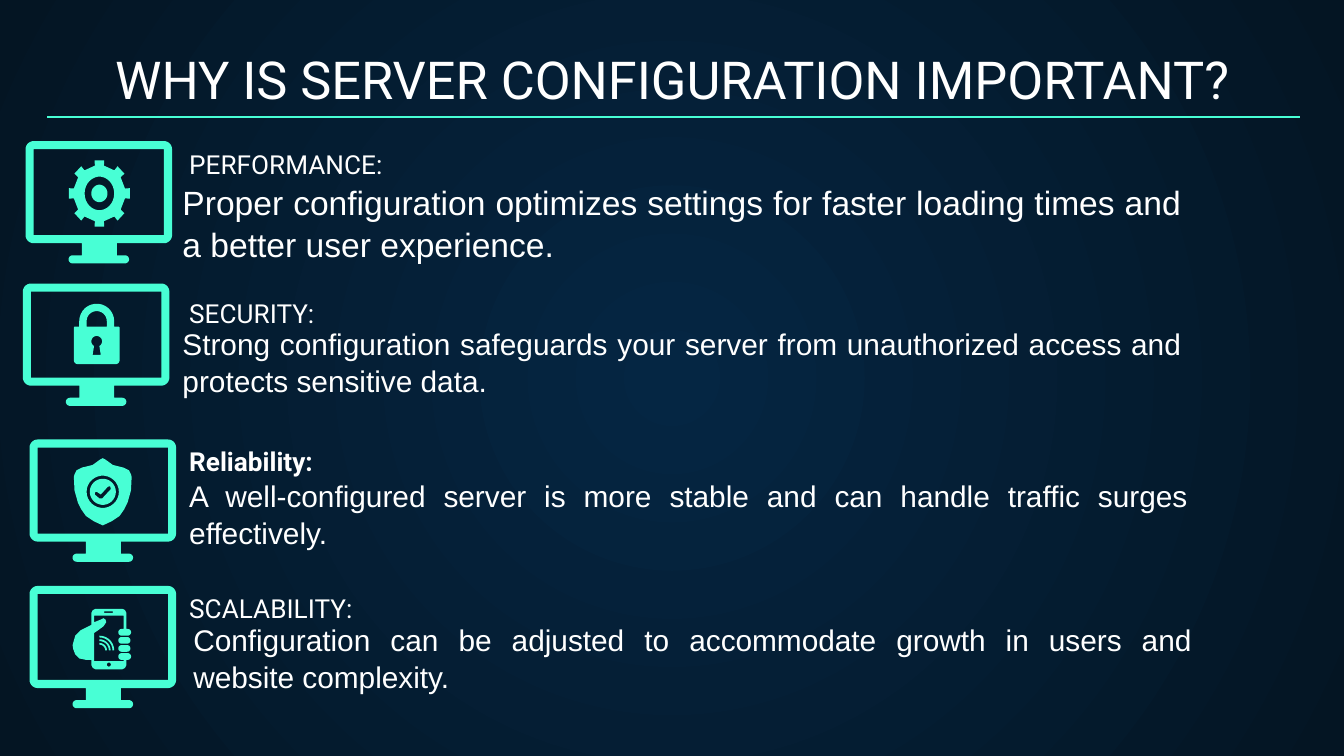
from math import cos, radians, sin

from pptx import Presentation
from pptx.dml.color import RGBColor
from pptx.enum.shapes import MSO_CONNECTOR as Line
from pptx.enum.text import MSO_ANCHOR as Anchor, MSO_AUTO_SIZE as Auto, PP_ALIGN as Align
from pptx.oxml import parse_xml
from pptx.oxml.ns import nsdecls
from pptx.util import Emu, Pt

SCALE = 9144
MINT = "48FFD5"
WHITE = "FFFFFF"


def px(n):
    """Turn px into EMU."""
    return Emu(round(n * SCALE))


def color(code):
    """Turn a hex string into a colour."""
    return RGBColor.from_string(code)


def paint_back(slide, inner, outer):
    """Fill the background with a circular gradient."""
    stops = "".join(
        f'<a:gs pos="{pos}"><a:srgbClr val="{code}"/></a:gs>'
        for pos, code in ((0, inner), (100000, outer))
    )
    back = parse_xml(
        f'<p:bg {nsdecls("p", "a")}><p:bgPr><a:gradFill><a:gsLst>{stops}</a:gsLst>'
        '<a:path path="circle"><a:fillToRect l="50000" t="50000" r="50000" b="50000"/></a:path>'
        "</a:gradFill><a:effectLst/></p:bgPr></p:bg>"
    )
    slide.element.cSld.insert(0, back)


def write(shape, text, size=16, font="Arial", bold=False, align=Align.LEFT,
          anchor=Anchor.TOP, spacing=1.0):
    """Put formatted text into a shape."""
    frame = shape.text_frame
    frame.word_wrap = True
    frame.auto_size = Auto.NONE
    frame.vertical_anchor = anchor
    frame.margin_left = frame.margin_right = px(10)
    frame.margin_top = frame.margin_bottom = px(10)
    para = frame.paragraphs[0]
    para.text = text
    para.alignment = align
    para.line_spacing = spacing
    face = para.runs[0].font
    face.name, face.size, face.bold = font, Pt(size), bold
    face.color.rgb = color(WHITE)


def add_title(slide, text):
    """Place and format the title."""
    title = slide.shapes.title
    title.left, title.top, title.width, title.height = map(px, (34, 26, 932, 66))
    write(title, text, size=28, font="Roboto", align=Align.CENTER, anchor=Anchor.BOTTOM)


def add_text(slide, left, top, width, height, text, **style):
    """Add a text box."""
    box = slide.shapes.add_textbox(*map(px, (left, top, width, height)))
    write(box, text, **style)


def add_rule(slide, left, right, y):
    """Add the thin line below the title."""
    rule = slide.shapes.add_connector(Line.STRAIGHT, px(left), px(y), px(right), px(y))
    rule.line.color.rgb = color(MINT)
    rule.line.width = Pt(0.75)
    rule._element.spPr.append(parse_xml(f'<a:effectLst {nsdecls("a")}/>'))


def add_form(shapes, left, top, loops):
    """Draw closed loops as one freeform, inner loops being holes."""
    loops = [[(px(left + x), px(top + y)) for x, y in loop] for loop in loops]
    pen = shapes.build_freeform(*loops[0][0])
    for i, loop in enumerate(loops):
        if i:
            pen.move_to(*loop[0])
        pen.add_line_segments(loop[1:], close=True)
    form = pen.convert_to_shape()
    form.shadow.inherit = False
    form.fill.solid()
    form.fill.fore_color.rgb = color(MINT)
    form.line.fill.background()


def arc(x, y, r, start=0, stop=360, ry=None):
    """List points along an arc, clockwise in degrees."""
    ry = ry or r
    count = max(4, abs(stop - start) // 12)
    turns = [radians(start + (stop - start) * i / count) for i in range(count + 1)]
    return [(x + r * cos(t), y + ry * sin(t)) for t in turns]


def rect(left, top, right, bottom):
    """List the corners of a rectangle."""
    return [(left, top), (right, top), (right, bottom), (left, bottom)]


def pill(left, top, right, bottom):
    """List the outline of a bar with round ends."""
    r = (bottom - top) / 2
    y = top + r
    return arc(right - r, y, r, -90, 90) + arc(left + r, y, r, 90, 270)


def screen():
    """Outline a monitor on its stand."""
    edge = (arc(6, 6, 6, 180, 270) + arc(103, 6, 6, 270, 360) + arc(103, 70, 6, 0, 90)
            + [(68, 76), (68, 85)] + pill(32, 85, 77, 91)
            + [(42, 85), (42, 76)] + arc(6, 70, 6, 90, 180))
    return [edge, rect(6, 6, 103, 70)]


def gear():
    """Outline a cog with eight teeth."""
    teeth = []
    for mid in range(0, 360, 45):
        for turn, r in ((-10, 0.84), (-9, 1), (9, 1), (10, 0.84)):
            t = radians(mid + turn)
            teeth.append((23 + 23 * r * cos(t), 25 + 25 * r * sin(t)))
    return [teeth, arc(23, 25, 11, ry=12.5), arc(23, 25, 6, ry=6.5)]


def lock():
    """Outline a padlock with a keyhole."""
    body = ([(4, 17)] + arc(17, 13, 13, 180, 360) + [(30, 17)] + arc(33, 18, 1, 270, 360)
            + arc(31, 42, 3, 0, 90) + arc(3, 42, 3, 90, 180) + arc(1, 18, 1, 180, 270))
    bow = [(9.5, 17)] + arc(17, 13, 7.5, 180, 360) + [(24.5, 17)]
    key = arc(17, 28, 4, 120, 420) + [(20, 38), (14, 38)]
    return [body, bow, key]


def shield():
    """Outline a shield with a round hole."""
    half = [(21.5, 0), (19.5, 1), (14, 5), (6, 7), (2, 9), (0.5, 12), (0, 14), (0.5, 24),
            (3, 33), (5.5, 38), (9, 43), (15, 47), (21.5, 50)]
    return [half + [(43 - x, y) for x, y in half[-2:0:-1]], arc(21.5, 25, 12)]


def tick():
    """Outline a disc with a check mark cut out."""
    mark = [(14, 6), (15, 6), (15.5, 8), (9, 15), (7, 15), (3.5, 12), (3.5, 10.5),
            (5, 10), (8, 12), (13, 6.5)]
    return [arc(9.5, 10, 9.7), mark]


def phone():
    """Outline a hand that holds a phone."""
    hand = [(17, 0), (15, 1), (14, 3), (14, 12), (6, 16), (2, 20), (0, 27), (0.5, 30), (2, 34),
            (5, 37), (10, 38), (14, 38), (14, 42), (15, 44), (17, 45), (37, 45), (39, 44),
            (40, 42), (40, 38)]
    low = arc(41, 35.5, 2.5, 90, -90) + arc(36.5, 35.5, 2.5, 270, 90)
    thumb = [(38, 38), (38, 39), (16, 39), (16, 18), (19, 16), (23, 13), (25, 10),
             (24.5, 8), (23, 7), (21, 8), (16, 10), (16, 5), (38, 5), (38, 15)]
    high = arc(36.5, 17.5, 2.5, 270, 90) + arc(41, 17.5, 2.5, 90, -90)
    edge = hand + low + thumb + high + [(40, 15), (40, 3), (39, 1), (37, 0)]
    waves = [arc(20, 31, r, 270, 360) + arc(20, 31, r - 1.3, 360, 270) for r in (11, 8.3, 5.6)]
    fingers = [pill(34, y, 43, y + 5) for y in (21, 27)]
    return [edge, rect(23.5, 2, 30, 3), arc(27, 41.5, 1.5)] + fingers + waves


def add_icon(slide, left, top, parts):
    """Group a monitor with the sign on its screen."""
    group = slide.shapes.add_group_shape()
    add_form(group.shapes, left, top, screen())
    for x, y, loops in parts:
        add_form(group.shapes, left + x, top + y, loops)


def main():
    """Build the slide."""
    deck = Presentation()
    deck.slide_width, deck.slide_height = px(1000), px(562.5)
    slide = deck.slides.add_slide(deck.slide_layouts[5])
    paint_back(slide, "052643", "041523")
    add_title(slide, "WHY IS SERVER CONFIGURATION IMPORTANT?")
    add_rule(slide, 35, 967, 87)

    topics = [
        ("PERFORMANCE:", 97, (126, 124), 18,
         "Proper configuration optimizes settings for faster loading times and a better "
         "user experience.", (19, 105), [(32, 14, gear())]),
        ("SECURITY:", 208, (126, 231), 16,
         "Strong configuration safeguards your server from unauthorized access and "
         "protects sensitive data.", (17, 211), [(38, 15, lock())]),
        ("Reliability:", 318, (131, 344), 16,
         "A well-configured server is more stable and can handle traffic surges "
         "effectively.", (22, 327), [(33, 14, shield()), (45, 29, tick())]),
        ("SCALABILITY:", 427, (134, 451), 16,
         "Configuration can be adjusted to accommodate growth in users and website "
         "complexity.", (22, 436), [(32, 17, phone())]),
    ]
    for head, top, spot, size, text, corner, parts in topics:
        add_icon(slide, *corner, parts)
        add_text(slide, 131, top, 227, 47, head, size=14, font="Roboto",
                 bold=head == "Reliability:", anchor=Anchor.BOTTOM)
        add_text(slide, *spot, 763, 66, text, size=size, align=Align.JUSTIFY, spacing=1.05)
    deck.save("out.pptx")


if __name__ == "__main__":
    main()
